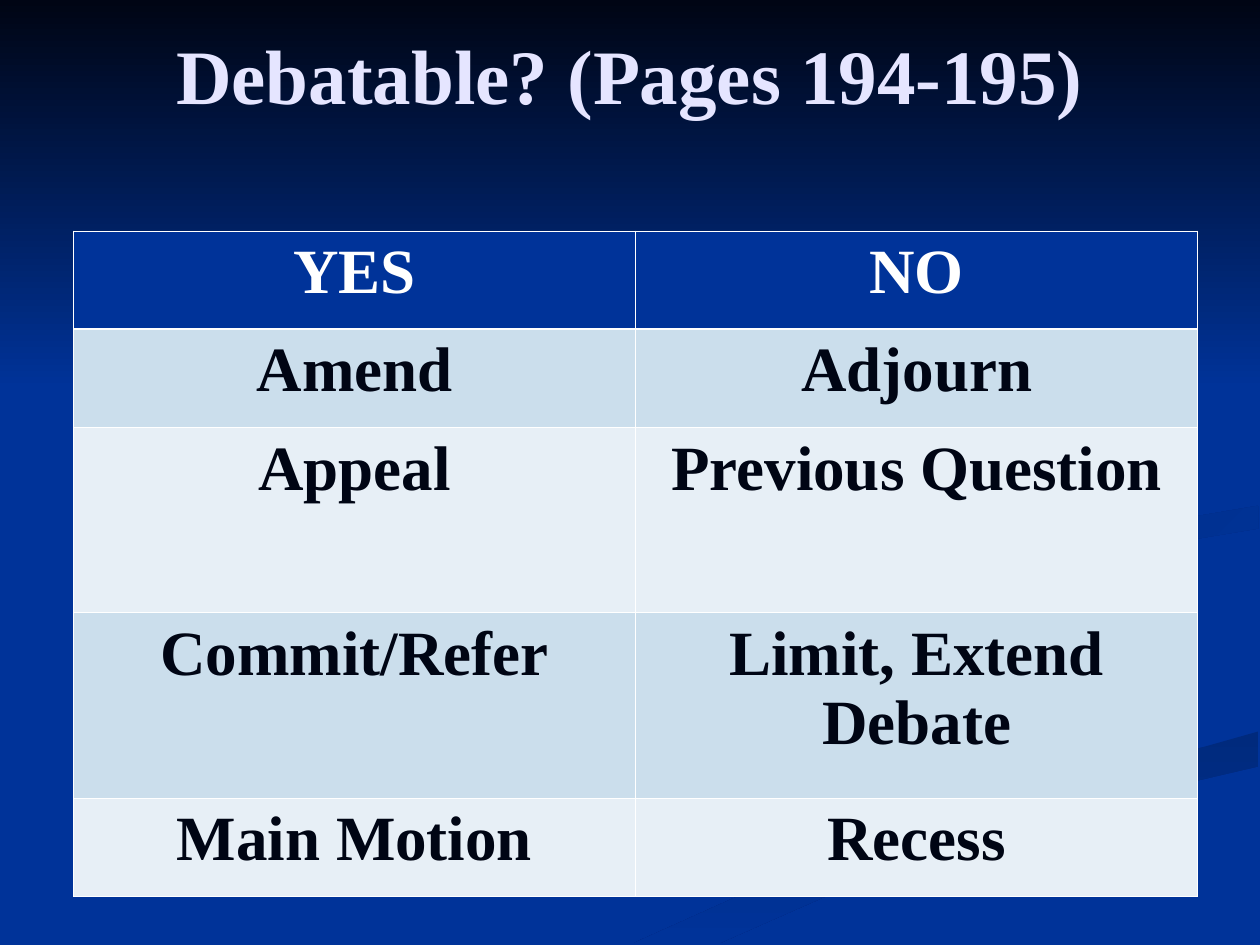
from pptx import Presentation
from pptx.dml.color import RGBColor
from pptx.enum.shapes import MSO_SHAPE
from pptx.enum.text import MSO_ANCHOR, PP_ALIGN
from pptx.oxml.ns import qn
from pptx.util import Pt
from lxml import etree

TOP = MSO_ANCHOR.TOP
CENTER = PP_ALIGN.CENTER
RECT = MSO_SHAPE.RECTANGLE

BLUE, NIGHT, WHITE, LILAC = "003399", "000514", "FFFFFF", "E5E5FF"
BANDS = ["CBDEEC", "E7EFF6"]

ROWS = [
    ("YES", "NO"),
    ("Amend", "Adjourn"),
    ("Appeal", "Previous Question"),
    ("Commit/Refer", "Limit, Extend Debate"),
    ("Main Motion", "Recess"),
]
LOW, TALL = 56.2, 105.8
HEIGHTS = [LOW, LOW, TALL, TALL, LOW]

SWOOSH = [(362, 539), (411, 539), (520, 491), (650, 454), (719, 438),
          (719, 418), (574, 459), (431, 508)]
CURL = [(562, 331), (569, 344), (595, 357), (580, 343), (618, 319),
        (719, 302), (719, 289), (612, 307)]


def color(code):
    return RGBColor.from_string(code)


def edge(cell, side, width):
    """Add one white border line; call in the order L, R, T, B."""
    line = etree.SubElement(cell._tc.get_or_add_tcPr(), qn("a:ln" + side), w=str(Pt(width)))
    fill = etree.SubElement(line, qn("a:solidFill"))
    etree.SubElement(fill, qn("a:srgbClr"), val=WHITE)


class Deck:
    font = "Times New Roman"

    def __init__(self):
        self.prs = Presentation()
        self.prs.slide_width, self.prs.slide_height = Pt(720), Pt(540)
        self.slide = self.prs.slides.add_slide(self.prs.slide_layouts[5])
        fill = self.slide.background.fill
        fill.solid()
        fill.fore_color.rgb = color(BLUE)

    def style(self, frame, text, size, tint):
        frame.text = text
        para = frame.paragraphs[0]
        para.alignment = CENTER
        para.font.name = self.font
        para.font.size = Pt(size)
        para.font.bold = True
        para.font.color.rgb = color(tint)

    def fade(self, shape, start, angle):
        """Fill with a gradient that runs clockwise from start to blue."""
        shape.shadow.inherit = False
        shape.line.fill.background()
        shape.fill.gradient()
        shape.fill.gradient_angle = -angle % 360
        for stop, code in zip(shape.fill.gradient_stops, (start, BLUE)):
            stop.color.rgb = color(code)

    def ribbon(self, points, start, angle):
        pen = self.slide.shapes.build_freeform(*points[0], scale=Pt(1))
        pen.add_line_segments(points[1:], close=True)
        self.fade(pen.convert_to_shape(), start, angle)

    def sky(self, height):
        band = self.slide.shapes.add_shape(RECT, 0, 0, self.prs.slide_width, Pt(height))
        self.fade(band, NIGHT, 90)

    def title(self, text):
        shape = self.slide.shapes.title
        shape.left, shape.top, shape.width, shape.height = Pt(36), Pt(16), Pt(648), Pt(96)
        frame = shape.text_frame
        frame.vertical_anchor = TOP
        frame.margin_top = 0
        self.style(frame, text, 44, LILAC)
        # Keep the title in front of the background shapes
        self.slide.shapes._spTree.append(shape._element)

    def table(self, rows, heights):
        grid = self.slide.shapes.add_table(
            len(rows), len(rows[0]), Pt(42), Pt(132), Pt(642.4), Pt(sum(heights))).table
        grid.first_row = grid.horz_banding = False
        for r, (row, height) in enumerate(zip(rows, heights)):
            grid.rows[r].height = Pt(height)
            for c, text in enumerate(row):
                cell = grid.cell(r, c)
                self.style(cell.text_frame, text, 36, NIGHT if r else WHITE)
                cell.vertical_anchor = TOP
                for side in "LRTB":
                    thick = (r, side) in ((0, "B"), (1, "T"))
                    edge(cell, side, 1.5 if thick else 0.45)
                cell.fill.solid()
                cell.fill.fore_color.rgb = color(BANDS[(r - 1) % 2] if r else BLUE)


def main():
    deck = Deck()
    deck.ribbon(SWOOSH, "002A7D", 90)
    deck.ribbon(CURL, "002D86", 45)
    deck.sky(222)
    deck.title("Debatable? (Pages 194-195)")
    deck.table(ROWS, HEIGHTS)
    deck.prs.save("out.pptx")


if __name__ == "__main__":
    main()
